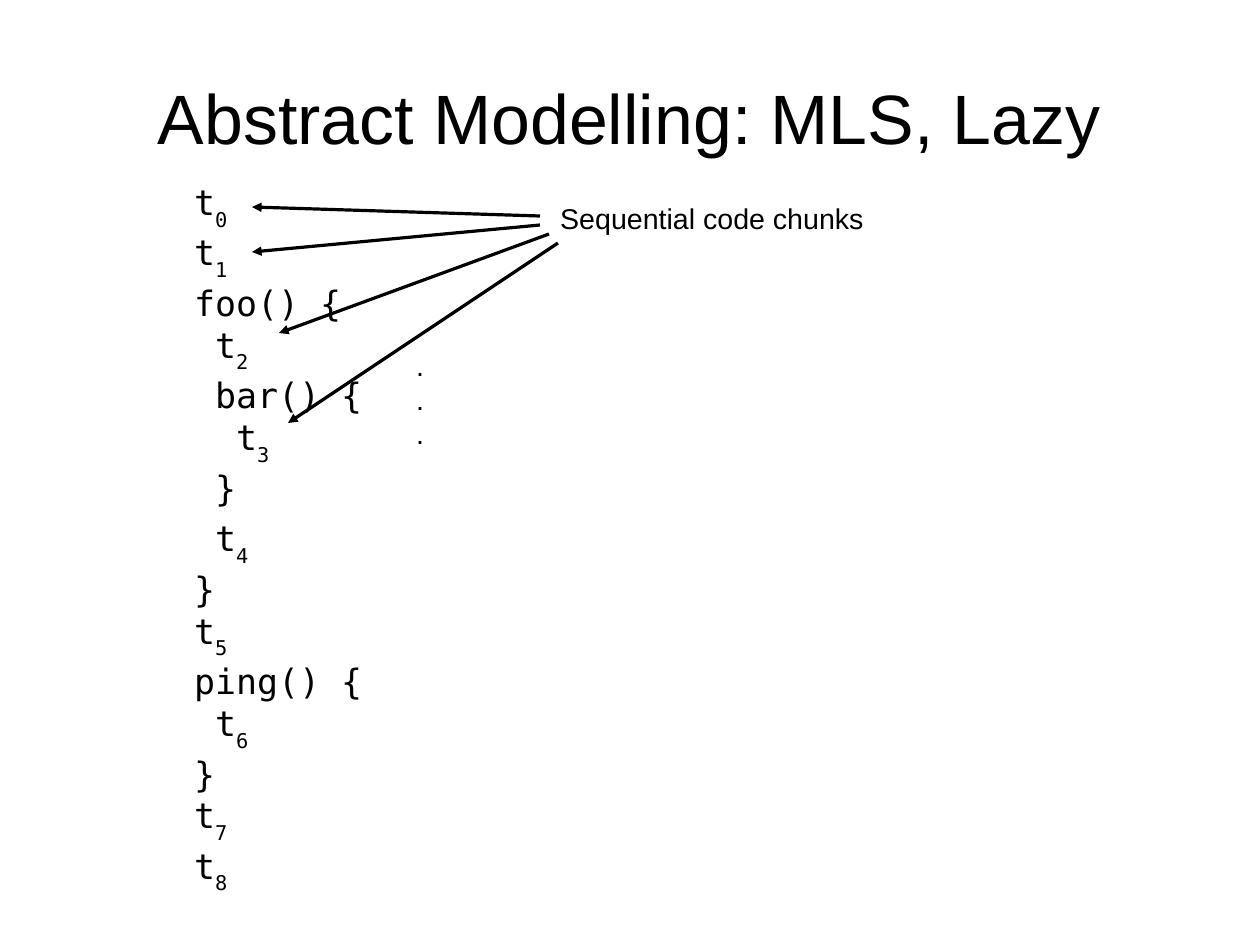
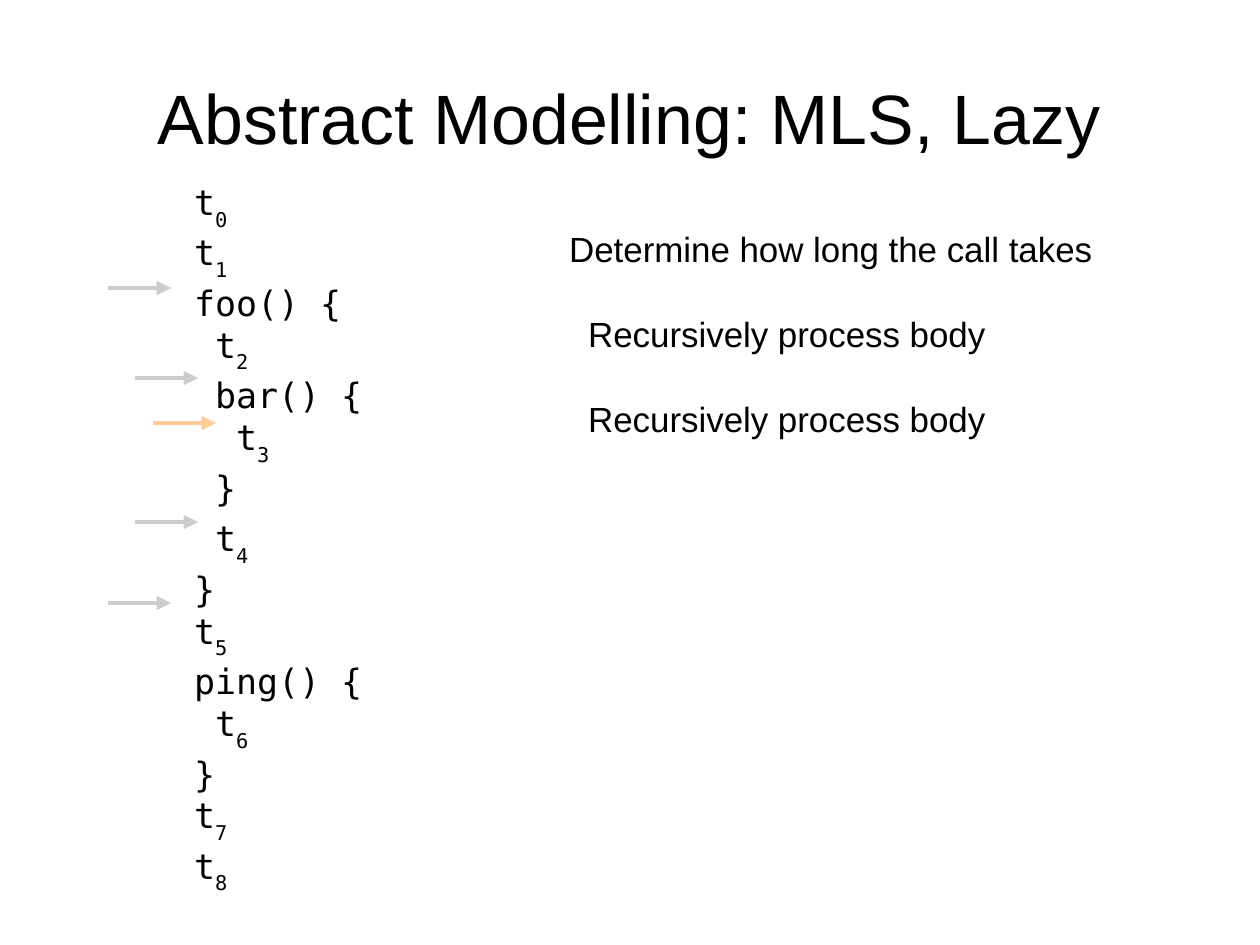
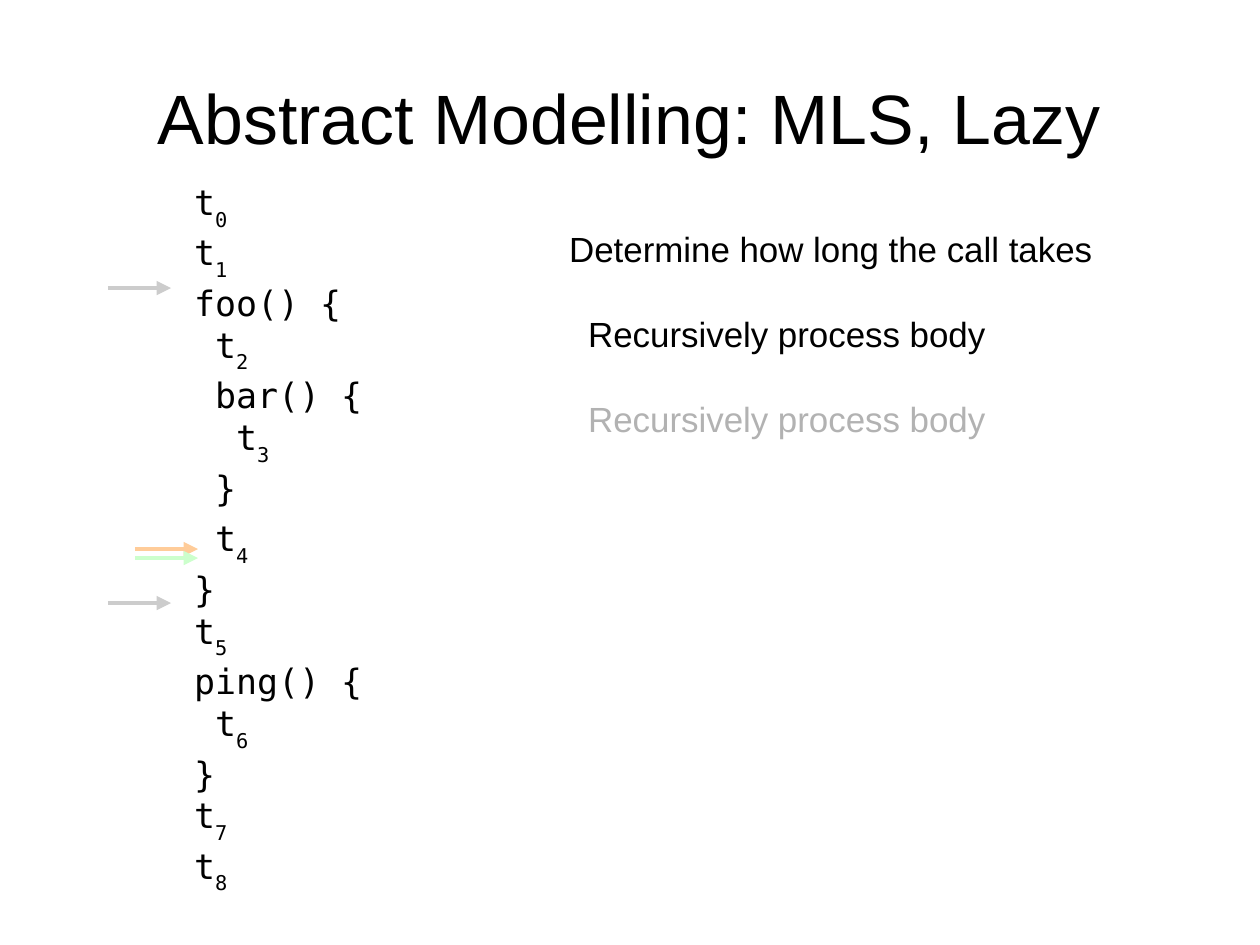
from lxml.etree import SubElement
from pptx import Presentation
from pptx.dml.color import RGBColor
from pptx.enum.shapes import MSO_CONNECTOR
from pptx.enum.text import MSO_ANCHOR, PP_ALIGN
from pptx.oxml.ns import qn
from pptx.util import Emu, Pt

SCALE = 8000  # EMU per px
COLOURS = {
    "text": "000000",
    "done": "B2B2B2",
    "call": "CCCCCC",
    "current": "FFCC99",
    "finished": "CCFFCC",
}
SANS, MONO = "Arial", "DejaVu Sans Mono"
TITLE = "Abstract Modelling: MLS, Lazy"

# One code line: indent level, text, subscript
CODE = [
    (0, "t", "0"),
    (0, "t", "1"),
    (0, "foo() {", ""),
    (1, "t", "2"),
    (1, "bar() {", ""),
    (2, "t", "3"),
    (1, "}", ""),
    (1, "t", "4"),
    (0, "}", ""),
    (0, "t", "5"),
    (0, "ping() {", ""),
    (1, "t", "6"),
    (0, "}", ""),
    (0, "t", "7"),
    (0, "t", "8"),
]
LOOSE_LINE = 6  # the brace that closes bar() has extra room below it
CODE_INDENT, STEP_INDENT = 21, 19
LEVEL_LEFT = [108, 135, 153]
MARKER_LENGTH = 63


def px(length):
    return Emu(length * SCALE)


def colour(name):
    return RGBColor.from_string(COLOURS[name])


class Deck:
    """Holds the shared style and the slide being filled."""

    def __init__(self):
        self.presentation = Presentation()
        self.presentation.slide_width = px(1260)
        self.presentation.slide_height = px(945)
        self.page = None

    def add_page(self):
        """Start a slide with the title and the code listing that all share."""
        layout = self.presentation.slide_layouts.get_by_name("Title Only")
        self.page = self.presentation.slides.add_slide(layout)
        self.title(TITLE)
        self.code()

    def span(self, para, text, size=22, font=SANS, tint="text", subscript=False):
        run = para.add_run()
        run.text = text
        run.font.size = Pt(size)
        run.font.name = font
        run.font.color.rgb = colour(tint)
        if subscript:
            run._r.get_or_add_rPr().set("baseline", "-33000")

    def title(self, text):
        box = self.page.shapes.title
        box.left, box.top, box.width, box.height = map(px, (63, 38, 1134, 158))
        frame = box.text_frame
        frame.margin_left = frame.margin_right = 0
        frame.margin_top = frame.margin_bottom = 0
        frame.vertical_anchor = MSO_ANCHOR.MIDDLE
        para = frame.paragraphs[0]
        para.alignment = PP_ALIGN.CENTER
        self.span(para, text, size=44)

    def paragraphs(self, left, top, width, height, count):
        """Add a text box and return its paragraphs, ready for runs."""
        box = self.page.shapes.add_textbox(*map(px, (left, top, width, height)))
        frame = box.text_frame
        frame.word_wrap = True
        for _ in range(count - 1):
            frame.add_paragraph()
        return frame.paragraphs

    def indent(self, para, distance):
        para._p.get_or_add_pPr().set("marL", str(px(distance)))

    def code(self):
        paras = self.paragraphs(183, 175, 421, 740, len(CODE))
        for para, (level, text, index) in zip(paras, CODE):
            self.indent(para, level * CODE_INDENT)
            self.span(para, text, font=MONO)
            if index:
                self.span(para, index, font=MONO, subscript=True)
        paras[LOOSE_LINE].space_after = px(9)

    def label(self, left, top, width, height, lines):
        paras = self.paragraphs(left, top, width, height, len(lines))
        for para, text in zip(paras, lines):
            self.span(para, text, size=18)

    def steps(self, last_tint):
        """List the processing steps, the last one in its own colour."""
        rows = [
            (0, "Determine how long the call takes", "text"),
            (1, "Recursively process body", "text"),
            (1, "Recursively process body", last_tint),
        ]
        paras = self.paragraphs(558, 222, 558, 207, len(rows))
        for para, (level, text, tint) in zip(paras, rows):
            self.indent(para, level * STEP_INDENT)
            para.space_after = px(43)
            self.span(para, text, tint=tint)

    def arrow(self, start, end, tint="text", width=0):
        line = self.page.shapes.add_connector(
            MSO_CONNECTOR.STRAIGHT, *map(px, start + end)
        )
        line.line.color.rgb = colour(tint)
        line.line.width = Pt(width)
        SubElement(line.line._get_or_add_ln(), qn("a:tailEnd"), type="triangle")
        SubElement(line._element.spPr, qn("a:effectLst"))

    def marker(self, level, y, tint="call"):
        """Point from the margin at a code line of the given level."""
        left = LEVEL_LEFT[level]
        self.arrow((left, y), (left + MARKER_LENGTH, y), tint, width=3)


def chunks_page(deck):
    deck.add_page()
    deck.label(549, 195, 414, 54, ["Sequential code chunks"])
    for start, end in [
        ((540, 216), (252, 207)),
        ((540, 225), (252, 252)),
        ((549, 234), (279, 333)),
        ((558, 243), (288, 423)),
    ]:
        deck.arrow(start, end)
    deck.label(405, 342, 35, 107, ["."] * 3)


def process_page(deck, last_tint, markers):
    deck.add_page()
    for y in (288, 603):
        deck.marker(0, y)
    deck.steps(last_tint)
    for marker in markers:
        deck.marker(*marker)


def main():
    deck = Deck()
    chunks_page(deck)
    process_page(deck, "text", [(1, 378), (1, 522), (2, 423, "current")])
    process_page(deck, "done", [(1, 549, "current"), (1, 558, "finished")])
    deck.presentation.save("out.pptx")


if __name__ == "__main__":
    main()
